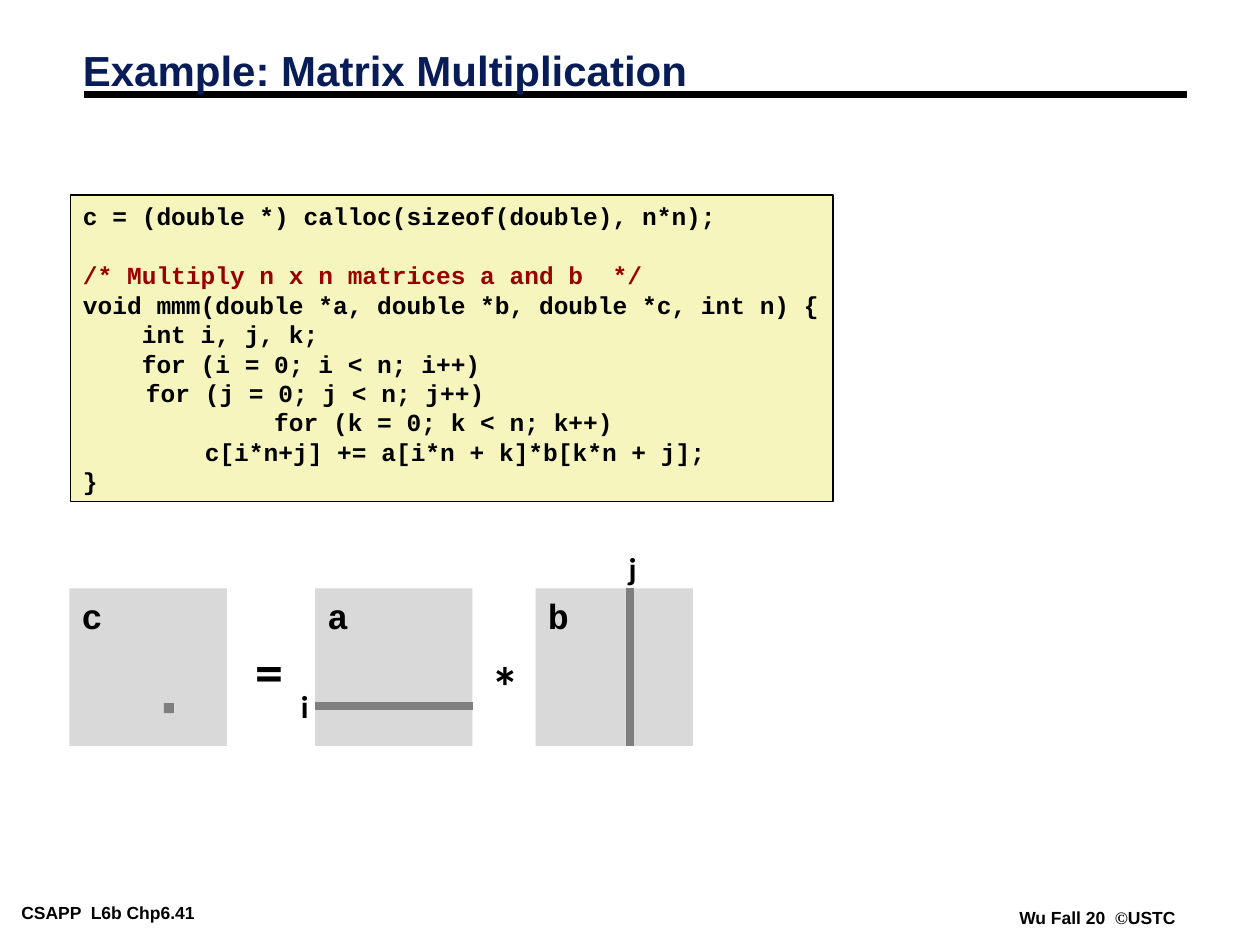
import pptx
import pptx.dml.color
import pptx.enum.shapes
import pptx.enum.text
import pptx.oxml
import pptx.util
from pptx.util import Inches

BLACK, NAVY, RED = "000000", "081D58", "990000"
PALE, GRAY, CREAM = "D9D9D9", "7F7F7F", "F6F5BD"
SIDE = 1.25
TITLE = {"name": "Arial", "size": 24, "color": NAVY}
FOOTER = {"name": "Arial", "size": 10}
CODE = {"name": "Courier New", "size": 14}
MATRIX = {"name": "Courier New", "size": 20}
INDEX = {"name": "Calibri", "size": 18}
OPERATOR = {"name": "Calibri", "size": 32}

CODE_LINES = [
    "c = (double *) calloc(sizeof(double), n*n);",
    "",
    "/* Multiply n x n matrices a and b  */",
    "void mmm(double *a, double *b, double *c, int n) {",
    "    int i, j, k;",
    "    for (i = 0; i < n; i++)",
    "\tfor (j = 0; j < n; j++)",
    "             for (k = 0; k < n; k++)",
    "\t    c[i*n+j] += a[i*n + k]*b[k*n + j];",
    "}",
]


def rgb(value):
    return pptx.dml.color.RGBColor.from_string(value)


def add_span(para, text, style):
    span = para.add_run()
    span.text = text
    values = {"bold": True, "name": style["name"],
              "size": pptx.util.Pt(style["size"])}
    for key, value in values.items():
        setattr(span.font, key, value)
    span.font.color.rgb = rgb(style.get("color", BLACK))


def set_frame(shape, wrap=False, middle=False, margins=(0.1, 0.05)):
    anchor = pptx.enum.text.MSO_ANCHOR
    across, down = map(Inches, margins)
    values = {"word_wrap": wrap, "margin_left": across, "margin_right": across,
              "margin_top": down, "margin_bottom": down,
              "vertical_anchor": anchor.MIDDLE if middle else anchor.TOP}
    for key, value in values.items():
        setattr(shape.text_frame, key, value)
    para = shape.text_frame.paragraphs[0]
    para.alignment = pptx.enum.text.PP_ALIGN.LEFT
    return para


def add_text(page, box, spans, **frame):
    """Add a text box holding one paragraph of (text, style) spans."""
    shape = page.shapes.add_textbox(*map(Inches, box))
    para = set_frame(shape, **frame)
    for text, style in spans:
        add_span(para, text, style)
    return para


def add_rectangle(page, box, fill, line=None):
    shape = page.shapes.add_shape(
        pptx.enum.shapes.MSO_SHAPE.RECTANGLE, *map(Inches, box))
    shape.shadow.inherit = False
    shape.fill.solid()
    shape.fill.fore_color.rgb = rgb(fill)
    if line:
        shape.line.color.rgb = rgb(line)
        shape.line.width = pptx.util.Pt(1)
    else:
        shape.line.fill.background()
    return shape


def add_line(page, ends, color):
    line = page.shapes.add_connector(
        pptx.enum.shapes.MSO_CONNECTOR.STRAIGHT, *map(Inches, ends))
    line.line.color.rgb = rgb(color)
    line.line.width = pptx.util.Pt(4.5)
    properties = line._element.spPr
    properties.append(properties.makeelement(pptx.oxml.ns.qn("a:effectLst"), {}))


def add_header(page, left, top):
    add_line(page, (left + 0.11, top + 0.39, left + 8.86, top + 0.39), BLACK)
    para = add_text(page, (left, top, 8.3, 0.45),
                    [("Example: Matrix Multiplication", TITLE)],
                    wrap=True, middle=True)
    para.line_spacing = 0.87


def add_footer(page):
    margins = (0.07, 0.03)
    add_text(page, (0.1, 7.13, 2.03, 0.22),
             [("CSAPP  L6b Chp6.41", FOOTER)], margins=margins)
    add_text(page, (8.02, 7.17, 1.38, 0.22),
             [("Wu Fall 20  ", FOOTER),
              ("©", FOOTER | {"name": "Times New Roman"}),
              ("USTC", FOOTER)], margins=margins)


def add_code(page, box):
    shape = add_rectangle(page, box, CREAM, BLACK)
    para = set_frame(shape)
    for number, text in enumerate(CODE_LINES):
        if number:
            para = shape.text_frame.add_paragraph()
            para.alignment = pptx.enum.text.PP_ALIGN.LEFT
        color = RED if text.startswith("/*") else BLACK
        add_span(para, text, CODE | {"color": color})


def add_matrix(page, left, top, name):
    shape = add_rectangle(page, (left, top, SIDE, SIDE), PALE)
    add_span(set_frame(shape, wrap=True), name, MATRIX)


def add_product(page, left, top):
    """Draw c = a * b, marking row i, column j and the resulting cell."""
    a_left, b_left = left + 1.95, left + 3.7
    row, column = top + 0.93, b_left + 0.75
    for name, x in (("c", left), ("a", a_left), ("b", b_left)):
        add_matrix(page, x, top, name)
    add_rectangle(page, (left + 0.75, row - 0.02, 0.08, 0.08), GRAY)
    add_line(page, (a_left, row, a_left + SIDE, row), GRAY)
    add_line(page, (column, top, column, top + SIDE), GRAY)
    add_text(page, (a_left - 0.21, row - 0.2, 0.26, 0.4), [("i", INDEX)])
    add_text(page, (column - 0.11, top - 0.36, 0.26, 0.4), [("j", INDEX)])
    add_text(page, (left + 1.38, top + 0.33, 0.42, 0.64), [("=", OPERATOR)])
    add_text(page, (left + 3.25, top + 0.45, 0.42, 0.64), [("*", OPERATOR)])


def main():
    deck = pptx.Presentation()
    deck.slide_width, deck.slide_height = Inches(10), Inches(7.5)
    page = deck.slides.add_slide(deck.slide_layouts[6])
    add_footer(page)
    add_header(page, 0.56, 0.36)
    add_product(page, 0.55, 4.67)
    add_code(page, (0.56, 1.55, 6.05, 2.43))
    deck.save("out.pptx")


if __name__ == "__main__":
    main()
